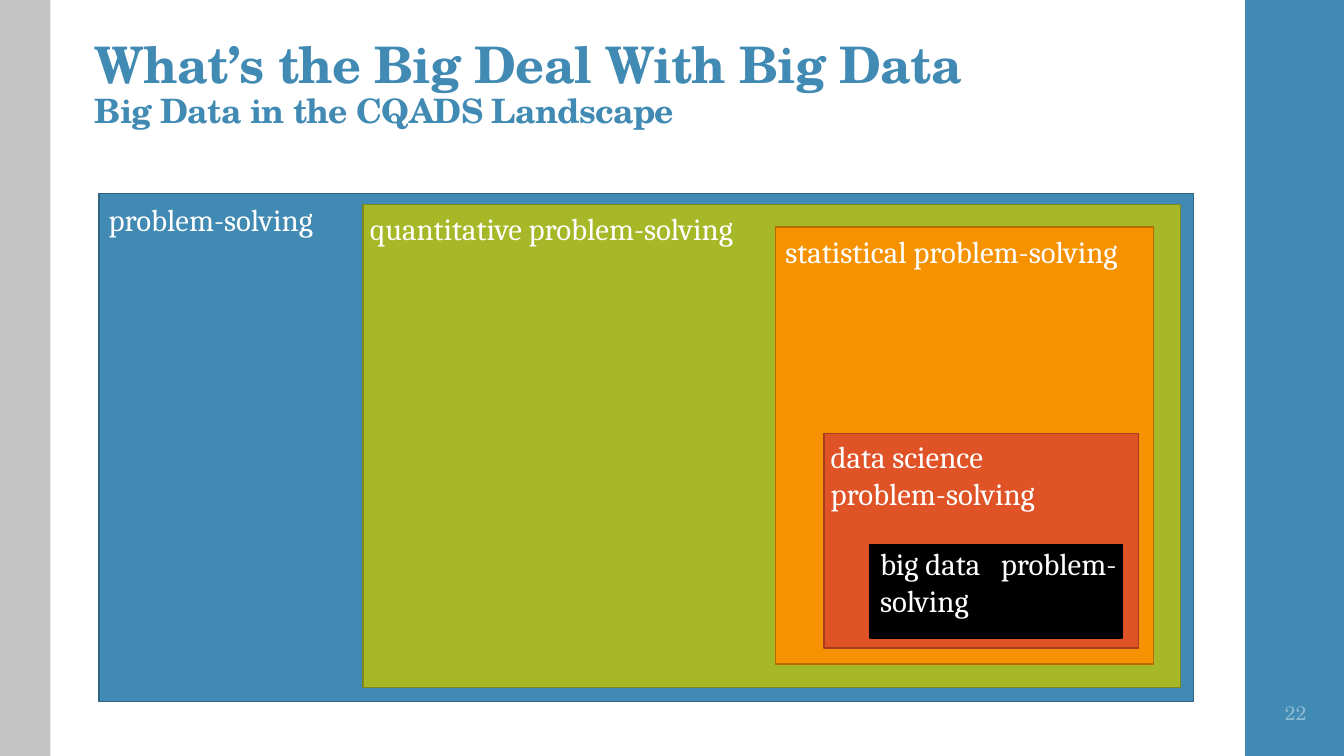
from lxml import etree
from pptx import Presentation
from pptx import util as u
from pptx.dml.color import RGBColor
from pptx.enum import shapes, text
from pptx.oxml import ns

PX = 9144  # one px is a hundredth of an inch
HEAD, BODY = "TeX Gyre Schola", "Cambria"
COLORS = {
    "blue": "418AB3", "navy": "306684", "pale": "8ABAD4", "gray": "C5C5C5",
    "green": "A6B727", "olive": "7B871D", "orange": "F69200", "brown": "B66C00",
    "red": "DF5327", "rust": "A53D1D", "black": "000000", "white": "FFFFFF",
}

# fill, line, left, top, width, height
BOXES = [
    ("blue", "navy", 98, 192, 1086, 504),
    ("green", "olive", 360, 203, 811, 479),
    ("orange", "brown", 769, 225, 375, 434),
    ("red", "rust", 817, 430, 312, 213),
    ("black", "black", 863, 540, 250, 93),
]

# words, left, top, width, height
LABELS = [
    ("problem-solving", 98, 194, 236, 47),
    ("quantitative problem-solving", 357, 203, 412, 47),
    ("statistical problem-solving", 769, 226, 388, 47),
    ("data science problem-solving", 814, 429, 236, 84),
    ("big data\tproblem-solving", 863, 536, 263, 84),
]


def rgb(name):
    return RGBColor.from_string(COLORS[name])


def px(*nums):
    return [u.Emu(n * PX) for n in nums]


def style(font, face, size, color):
    font.name, font.size = face, u.Pt(size)
    font.color.rgb = rgb(color)


def add_box(slide, fill, line, *place):
    box = slide.shapes.add_shape(shapes.MSO_SHAPE.RECTANGLE, *px(*place))
    box.shadow.inherit = False
    box.fill.solid()
    box.fill.fore_color.rgb = rgb(fill)
    if line:
        box.line.color.rgb = rgb(line)
        box.line.width = u.Pt(1.1)
    else:
        box.line.fill.background()


def add_label(slide, words, face, size, color, *place):
    frame = slide.shapes.add_textbox(*px(*place)).text_frame
    frame.word_wrap = True
    par = frame.paragraphs[0]
    par.text = words
    style(par.font, face, size, color)
    return frame


def set_tab(par, pos):
    tabs = etree.Element(ns.qn("a:tabLst"))
    etree.SubElement(tabs, ns.qn("a:tab"), pos=str(pos * PX), algn="l")
    par.font  # the tab list goes ahead of the font settings
    par._p.get_or_add_pPr().insert(0, tabs)


def add_title(slide, lines, *place):
    title = slide.shapes.title
    title.left, title.top, title.width, title.height = px(*place)
    frame = title.text_frame
    frame.word_wrap = True
    frame.auto_size = text.MSO_AUTO_SIZE.NONE
    frame.vertical_anchor = text.MSO_ANCHOR.TOP
    par = frame.paragraphs[0]
    par.alignment = text.PP_ALIGN.LEFT
    par.line_spacing = 0.9
    for row, (words, size) in enumerate(lines):
        if row:
            par.add_line_break()
        run = par.add_run()
        run.text = words
        style(run.font, HEAD, size, "blue")
        run.font.bold = True
        run._r.get_or_add_rPr().set("spc", "-50")


def main():
    deck = Presentation()
    deck.slide_width, deck.slide_height = px(1333, 750)
    slide = deck.slides.add_slide(deck.slide_layouts[5])

    # Side bands
    add_box(slide, "blue", None, 1235, 0, 98, 750)
    add_box(slide, "gray", None, 0, 0, 50, 750)

    # Title and page number
    add_title(slide, [("What’s the Big Deal With Big Data", 36),
                      ("Big Data in the CQADS Landscape", 24)], 84, 35, 1060, 61)
    page = add_label(slide, "22", HEAD, 14, "pale", 1235, 675, 100, 65)
    page.vertical_anchor = text.MSO_ANCHOR.MIDDLE
    page.paragraphs[0].alignment = text.PP_ALIGN.CENTER

    # Nested fields of problem-solving
    for box in BOXES:
        add_box(slide, *box)
    for words, *place in LABELS:
        frame = add_label(slide, words, BODY, 22, "white", *place)
        if "\t" in words:
            set_tab(frame.paragraphs[0], 120)

    deck.save("out.pptx")


if __name__ == "__main__":
    main()
